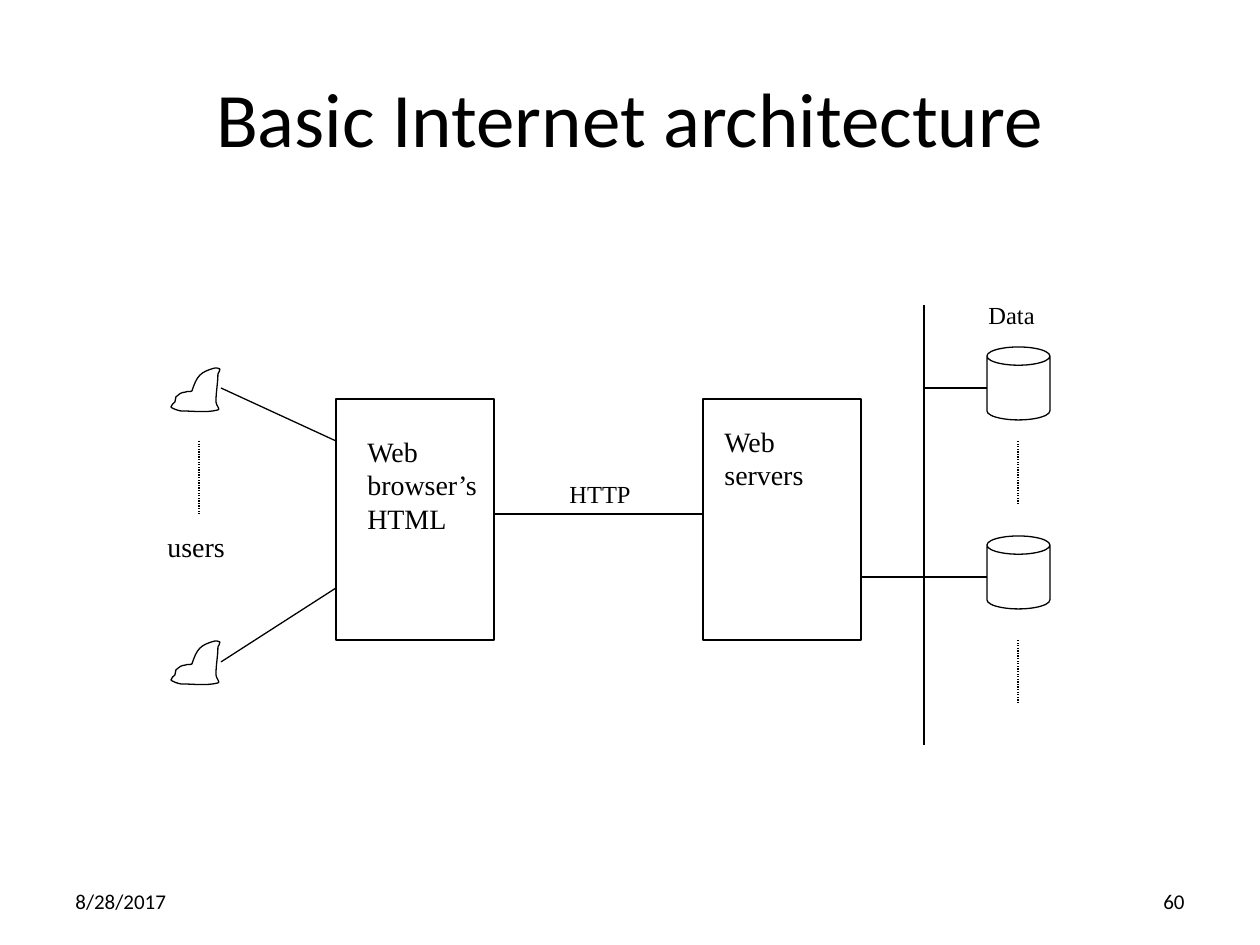
"""Build the slide 'Basic Internet architecture'."""
import pptx
import pptx.util
import pptx.dml.color
import pptx.enum.dml
import pptx.enum.shapes
import pptx.enum.text
import pptx.oxml.ns
import lxml.etree

PX = 914400 // 126
COLORS = {"ink": "000000"}
SHAPES = pptx.enum.shapes.MSO_SHAPE
ALIGN = pptx.enum.text.PP_ALIGN
USER_START = (44, 0)
USER_CURVES = [
    ((29, 4), (26, 8), (21, 23)),
    ((20, 24), (16, 23), (15, 24)),
    ((9, 25), (10, 25), (5, 29)),
    ((5, 30), (4, 33), (4, 34)),
    ((3, 35), (0, 37), (0, 39)),
    ((0, 40), (8, 43), (10, 43)),
    ((23, 43), (35, 45), (47, 42)),
    ((50, 42), (45, 37), (45, 34)),
    ((45, 24), (47, 15), (47, 6)),
    ((48, 4), (49, 3), (49, 1)),
    ((48, 0), (45, 0), (44, 0)),
]


def emu(*pixels):
    """Turn pixels into EMU."""
    return [pptx.util.Emu(round(v * PX)) for v in pixels]


def ink():
    """Return the ink colour."""
    return pptx.dml.color.RGBColor.from_string(COLORS["ink"])


def outline(line):
    """Give a line its colour and width."""
    line.color.rgb = ink()
    line.width = pptx.util.Pt(0.75)


def add_text(s, text, box, size, font="Times New Roman", align=ALIGN.LEFT, label=True):
    """Add a growing label, or a wrapped text centred in its height."""
    sp = s.shapes.add_textbox(*emu(*box))
    tf = sp.text_frame
    tf.text = text
    tf.word_wrap = not label
    if label:
        tf.auto_size = pptx.enum.text.MSO_AUTO_SIZE.SHAPE_TO_FIT_TEXT
    else:
        tf.vertical_anchor = pptx.enum.text.MSO_ANCHOR.MIDDLE
    for p in tf.paragraphs:
        p.alignment = align
        for r in p.runs:
            r.font.size = pptx.util.Pt(size)
            r.font.name = font
            r.font.color.rgb = ink()


def style_outlined(sp):
    """Leave a shape only its outline."""
    sp.shadow.inherit = False
    sp.fill.background()
    outline(sp.line)


def add_outlined(s, kind, box):
    """Add an unfilled preset shape."""
    sp = s.shapes.add_shape(kind, *emu(*box))
    style_outlined(sp)
    return sp


def add_line(s, ends, dotted=False):
    """Add a straight line, solid or dotted."""
    kind = pptx.enum.shapes.MSO_CONNECTOR.STRAIGHT
    sp = s.shapes.add_connector(kind, *emu(*ends))
    outline(sp.line)
    if dotted:
        sp.line.dash_style = pptx.enum.dml.MSO_LINE.ROUND_DOT
    lxml.etree.SubElement(sp._element.spPr, pptx.oxml.ns.qn("a:effectLst"))


def add_user(s, left, top):
    """Add the curved outline that stands for a user."""
    x, y = emu(left + USER_START[0], top + USER_START[1])
    builder = s.shapes.build_freeform(x, y)
    points = [emu(left + dx, top + dy) for curve in USER_CURVES for dx, dy in curve]
    builder.add_line_segments(points, close=True)
    sp = builder.convert_to_shape()
    qn = pptx.oxml.ns.qn
    segments = list(sp._element.iter(qn("a:lnTo")))
    for i in range(0, len(segments), 3):
        curve = lxml.etree.Element(qn("a:cubicBezTo"))
        segments[i].addprevious(curve)
        for segment in segments[i:i + 3]:
            curve.append(segment[0])
            segment.getparent().remove(segment)
    style_outlined(sp)


def main():
    """Build and save the slide."""
    prs = pptx.Presentation()
    prs.slide_width, prs.slide_height = emu(1260, 945)
    s = prs.slides.add_slide(prs.slide_layouts[6])

    for text, box, size, align in [
        ("8/28/2017", (63, 876, 294, 50), 12, ALIGN.LEFT),
        ("60", (903, 876, 294, 50), 12, ALIGN.RIGHT),
        ("Basic Internet architecture", (63, 38, 1134, 157), 44, ALIGN.CENTER),
    ]:
        add_text(s, text, box, size, "Calibri", align, label=False)

    for left in (336, 703):
        add_outlined(s, SHAPES.RECTANGLE, (left, 399, 158, 241))
    for top in (347, 536):
        can = add_outlined(s, SHAPES.CAN, (987, top, 63, 73))
        can.adjustments[0] = 0.29
    for top in (368, 641):
        add_user(s, 171, top)

    for ends in [
        (924, 305, 924, 745),
        (924, 388, 987, 388),
        (861, 577, 987, 577),
        (494, 514, 703, 514),
        (221, 388, 336, 441),
        (221, 662, 336, 588),
    ]:
        add_line(s, ends)
    for x, top, bottom in [(199, 441, 514), (1018, 441, 504), (1018, 640, 703)]:
        add_line(s, (x, top, x, bottom), dotted=True)

    for text, box, size in [
        ("Web\nbrowser’s\nHTML", (355, 428, 136, 113), 16),
        ("Web\nservers", (712, 418, 105, 81), 16),
        ("users", (155, 523, 83, 47), 16),
        ("HTTP", (557, 473, 87, 42), 14),
        ("Data", (976, 294, 72, 42), 14),
    ]:
        add_text(s, text, box, size)

    prs.save("out.pptx")


main()
